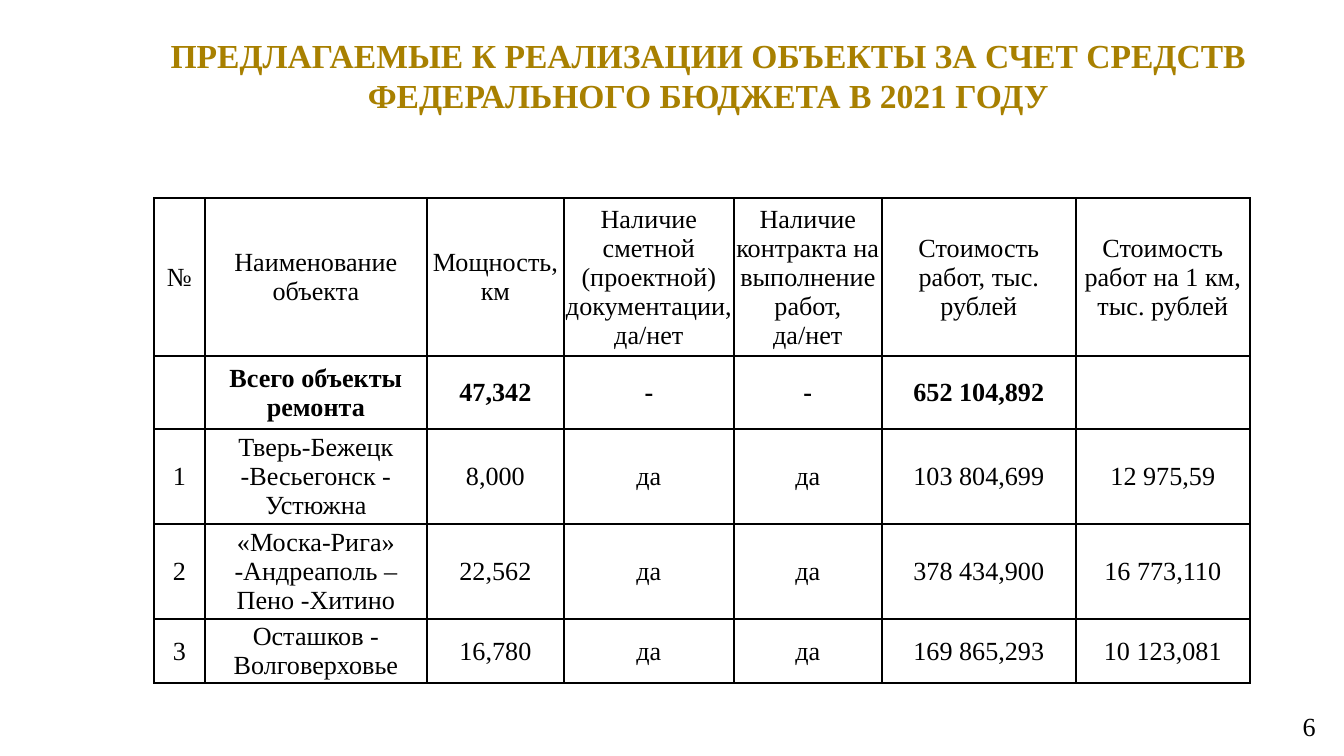
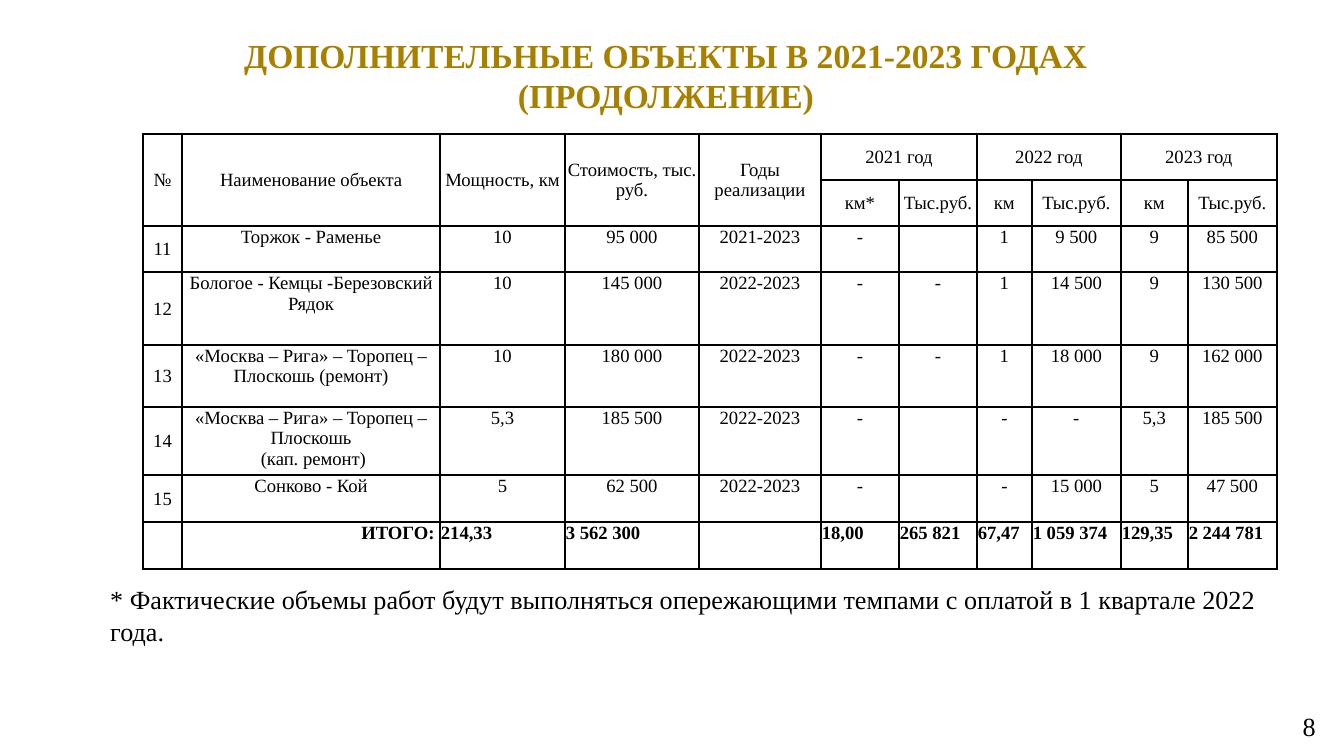
from copy import deepcopy
from dataclasses import dataclass

from lxml import etree
from pptx import Presentation
from pptx import util as u
from pptx.dml.color import RGBColor
from pptx.enum import text
from pptx.oxml.ns import qn

EMU_PER_PX = 914400 / 134.4
LEFT, CENTER, RIGHT = text.PP_ALIGN.LEFT, text.PP_ALIGN.CENTER, text.PP_ALIGN.RIGHT
TOP, MIDDLE = text.MSO_ANCHOR.TOP, text.MSO_ANCHOR.MIDDLE


@dataclass(frozen=True)
class Theme:
    """Colours, font and type sizes of the deck."""
    font: str = "Times New Roman"
    ink: str = "000000"
    gold: str = "A88000"
    title: int = 18
    body: int = 14
    small: int = 10
    border: int = 1


@dataclass(frozen=True)
class Box:
    """Position and size in px."""
    left: int
    top: int
    width: int
    height: int


@dataclass(frozen=True)
class Row:
    """One table row with its format; the first column stays centred in height."""
    height: int
    cells: tuple[str, ...]
    bold: bool = False
    align: int = CENTER
    anchor: int = MIDDLE
    name_align: int = CENTER


@dataclass(frozen=True)
class Grid:
    """A bordered table; merges are (row, column, last row, last column)."""
    box: Box
    columns: tuple[int, ...]
    rows: tuple[Row, ...]
    size: int
    merges: tuple[tuple[int, int, int, int], ...] = ()


@dataclass(frozen=True)
class Page:
    """Content of one slide."""
    title: str
    title_box: Box
    number: str
    grid: Grid
    note: str = ""


THEME = Theme()
NUMBER_BOX = Box(1016, 706, 313, 40)
NOTE_BOX = Box(97, 577, 1232, 46)
YEARS = ("2021 год", "2022 год", "2023 год")

FEDERAL = Page(
    "ПРЕДЛАГАЕМЫЕ К РЕАЛИЗАЦИИ ОБЪЕКТЫ ЗА СЧЕТ СРЕДСТВ ФЕДЕРАЛЬНОГО БЮДЖЕТА В 2021 ГОДУ",
    Box(132, 28, 1153, 97),
    "6",
    Grid(
        Box(154, 198, 1096, 485),
        (51, 222, 137, 170, 148, 194, 174),
        (
            Row(87, ("№", "Наименование объекта", "Мощность, км",
                     "Наличие сметной (проектной) документации, да/нет",
                     "Наличие контракта на выполнение работ,\vда/нет",
                     "Стоимость работ, тыс. рублей",
                     "Стоимость работ на 1 км, тыс. рублей")),
            Row(73, ("", "Всего объекты ремонта", "47,342", "-", "-",
                     "652 104,892", ""), bold=True),
            Row(93, ("1", "Тверь-Бежецк -Весьегонск - Устюжна", "8,000", "да", "да",
                     "103 804,699", "12 975,59")),
            Row(47, ("2", "«Моска-Рига» -Андреаполь – Пено -Хитино", "22,562", "да", "да",
                     "378 434,900", "16 773,110")),
            Row(47, ("3", "Осташков - Волговерховье", "16,780", "да", "да",
                     "169 865,293", "10 123,081")),
        ),
        THEME.body,
    ),
)

ADDITIONAL = Page(
    "ДОПОЛНИТЕЛЬНЫЕ ОБЪЕКТЫ В 2021-2023 ГОДАХ\n(ПРОДОЛЖЕНИЕ)",
    Box(142, 28, 1048, 52),
    "8",
    Grid(
        Box(143, 134, 1134, 434),
        (39, 258, 125, 134, 122, 78, 78, 55, 89, 67, 89),
        (
            Row(46, ("№", "Наименование объекта", "Мощность, км", "Стоимость, тыс. руб.",
                     "Годы реализации", *(part for year in YEARS for part in (year, "")))),
            Row(46, ("",) * 5 + ("км*", "Тыс.руб.", "км", "Тыс.руб.", "км", "Тыс.руб.")),
            Row(46, ("11", "Торжок - Раменье", "10", "95 000", "2021-2023",
                     "-", "", "1", "9 500", "9", "85 500"), anchor=TOP),
            Row(73, ("12", "Бологое - Кемцы -Березовский Рядок", "10", "145 000", "2022-2023",
                     "-", "-", "1", "14 500", "9", "130 500"), anchor=TOP),
            Row(62, ("13", "«Москва – Рига» – Торопец – Плоскошь (ремонт)", "10", "180 000",
                     "2022-2023", "-", "-", "1", "18 000", "9", "162 000"), anchor=TOP),
            Row(47, ("14", "«Москва – Рига» – Торопец – Плоскошь\n (кап. ремонт)", "5,3",
                     "185 500", "2022-2023", "-", "", "-", "-", "5,3", "185 500"), anchor=TOP),
            Row(47, ("15", "Сонково - Кой", "5", "62 500", "2022-2023",
                     "-", "", "-", "15 000", "5", "47 500"), anchor=TOP),
            Row(47, ("", "ИТОГО: ", "214,33", "3 562 300", "", "18,00", "265 821",
                     "67,47", "1 059 374", "129,35", "2 244 781"),
                bold=True, align=LEFT, anchor=TOP, name_align=RIGHT),
        ),
        THEME.small,
        tuple((0, column, 1, column) for column in range(5))
        + tuple((0, column, 0, column + 1) for column in (5, 7, 9)),
    ),
    "* Фактические объемы работ будут выполняться опережающими темпами "
    "с оплатой в 1 квартале 2022 года.",
)


def px(length: int) -> u.Emu:
    """Turn px into EMU."""
    return u.Emu(round(length * EMU_PER_PX))


def place(box: Box) -> tuple[u.Emu, ...]:
    """Give a box as left, top, width and height in EMU."""
    return tuple(map(px, (box.left, box.top, box.width, box.height)))


def write(frame, content: str, *, size: int, color: str = THEME.ink,
          bold: bool = False, align: int = LEFT) -> None:
    """Write formatted paragraphs into a text frame."""
    for index, line in enumerate(content.split("\n")):
        paragraph = frame.add_paragraph() if index else frame.paragraphs[0]
        paragraph.text = line
        paragraph.alignment = align
        for run in paragraph.runs:
            run.font.name = THEME.font
            run.font.size = u.Pt(size)
            run.font.bold = bold
            run.font.color.rgb = RGBColor.from_string(color)
        for line_break in paragraph._p.findall(qn("a:br")):
            line_break.append(deepcopy(paragraph.runs[0]._r.rPr))


def add_label(slide, box: Box, content: str, *, anchor: int = TOP,
              wrap: bool = True, **style) -> None:
    """Add a text box with standard insets."""
    frame = slide.shapes.add_textbox(*place(box)).text_frame
    frame.word_wrap = wrap
    frame.vertical_anchor = anchor
    write(frame, content, **style)


def draw_borders(cell) -> None:
    """Outline all four sides of a cell."""
    properties = cell._tc.get_or_add_tcPr()
    for side in ("a:lnL", "a:lnR", "a:lnT", "a:lnB"):
        line = etree.SubElement(properties, qn(side), w=str(u.Pt(THEME.border)))
        fill = etree.SubElement(line, qn("a:solidFill"))
        etree.SubElement(fill, qn("a:srgbClr"), val=THEME.ink)


def add_grid(slide, grid: Grid) -> None:
    """Add a bordered table without fills."""
    holder = slide.shapes.add_table(len(grid.rows), len(grid.columns), *place(grid.box))
    table = holder.table
    table.first_row = table.horz_banding = False
    for column, width in zip(table.columns, grid.columns):
        column.width = px(width)
    for row_index, row in enumerate(grid.rows):
        table.rows[row_index].height = px(row.height)
        for column_index, content in enumerate(row.cells):
            cell = table.cell(row_index, column_index)
            cell.margin_left = cell.margin_right = cell.margin_top = px(1)
            cell.margin_bottom = 0
            cell.vertical_anchor = row.anchor if column_index else MIDDLE
            draw_borders(cell)
            cell.fill.background()
            write(cell.text_frame, content, size=grid.size, bold=row.bold,
                  align=row.name_align if column_index == 1 else row.align)
    for top, left, bottom, right in grid.merges:
        table.cell(top, left).merge(table.cell(bottom, right))
    holder.height = px(grid.box.height)


def add_page(deck, page: Page) -> None:
    """Add one slide with title, number, table and note."""
    slide = deck.slides.add_slide(deck.slide_layouts[6])
    add_label(slide, page.title_box, page.title, size=THEME.title,
              color=THEME.gold, bold=True, align=CENTER)
    add_label(slide, NUMBER_BOX, page.number, size=THEME.body, align=RIGHT, anchor=MIDDLE)
    add_grid(slide, page.grid)
    if page.note:
        add_label(slide, NOTE_BOX, page.note, size=THEME.body, wrap=False)


def main() -> None:
    """Build and save the deck."""
    deck = Presentation()
    deck.slide_width, deck.slide_height = px(1344), px(756)
    for page in (FEDERAL, ADDITIONAL):
        add_page(deck, page)
    deck.save("out.pptx")


if __name__ == "__main__":
    main()
